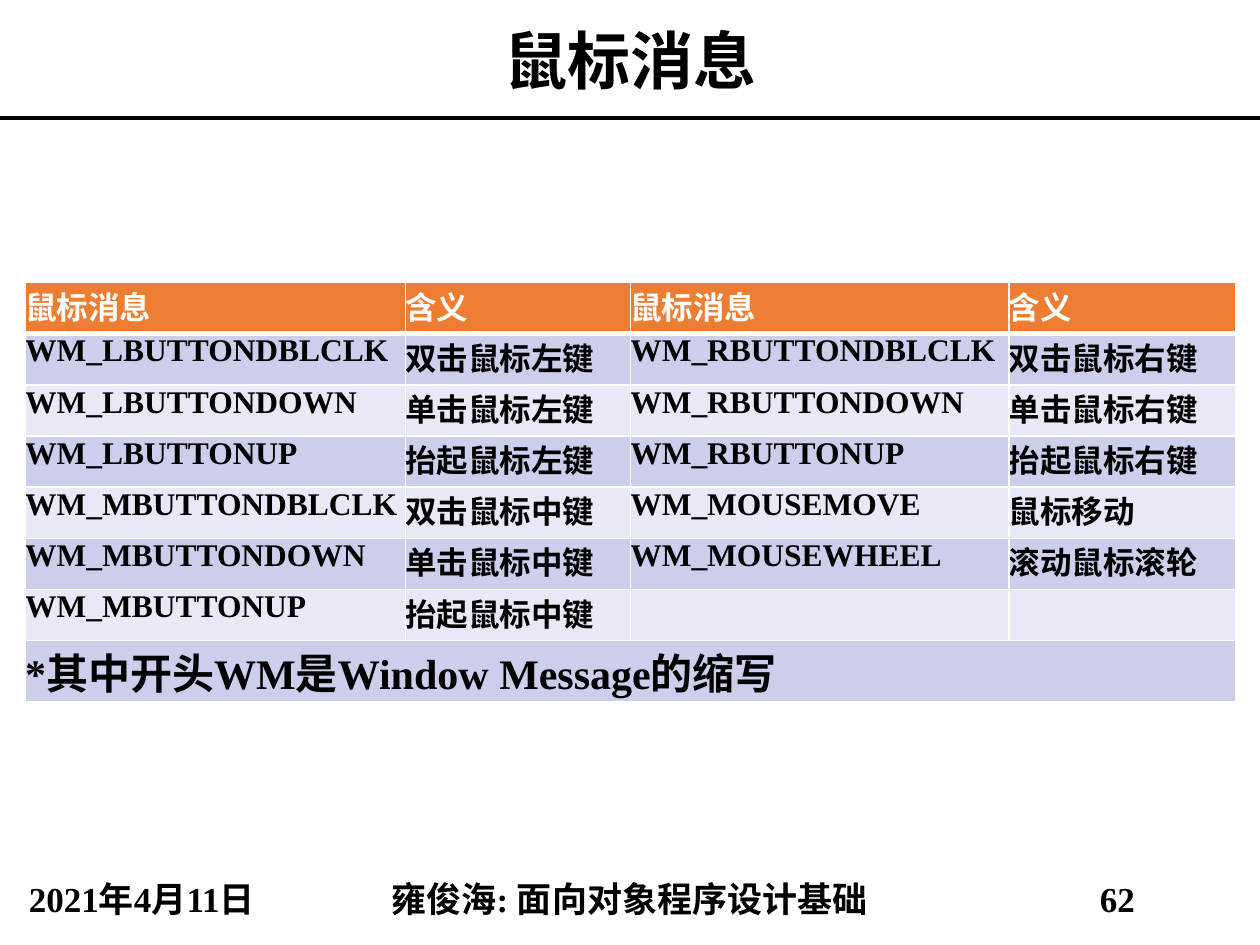
from dataclasses import dataclass

from lxml.etree import SubElement
from pptx import Presentation
from pptx.dml.color import RGBColor
from pptx.enum.shapes import MSO_CONNECTOR
from pptx.enum.text import MSO_ANCHOR, PP_ALIGN
from pptx.oxml import parse_xml
from pptx.oxml.ns import nsdecls, qn
from pptx.util import Pt


@dataclass(frozen=True)
class Theme:
    font: str = "Times New Roman"
    ink: str = "000000"
    paper: str = "FFFFFF"
    header: str = "ED7D31"
    bands: tuple = ("CDCDEC", "E8E8F6")
    title_size: int = 36
    footer_size: int = 20
    cell_size: int = 18
    note_size: int = 24


class SlideBuilder:
    def __init__(self, slide, theme):
        self.slide = slide
        self.theme = theme

    def add_text(self, tf, text, size, color, align=PP_ALIGN.LEFT, spacing=None):
        p = tf.paragraphs[0]
        p.alignment = align
        p.line_spacing = spacing
        r = p.add_run()
        r.text = text
        r.font.name = self.theme.font
        r.font.size = Pt(size)
        r.font.bold = True
        r.font.color.rgb = RGBColor.from_string(color)

    def title(self, text, width, height):
        sp = self.slide.shapes.title
        sp.left, sp.top, sp.width, sp.height = Pt(0), Pt(0), Pt(width), Pt(height)
        tf = sp.text_frame
        tf.vertical_anchor = MSO_ANCHOR.MIDDLE
        self.add_text(tf, text, self.theme.title_size, self.theme.ink,
                      PP_ALIGN.CENTER)

    def rule(self, y, width):
        line = self.slide.shapes.add_connector(
            MSO_CONNECTOR.STRAIGHT, Pt(0), Pt(y), Pt(width), Pt(y))
        line.line.color.rgb = RGBColor.from_string(self.theme.ink)
        line.line.width = Pt(2.25)
        SubElement(line._element.spPr, qn("a:effectLst"))

    def footer(self, text, left, width):
        sp = self.slide.shapes.add_textbox(Pt(left), Pt(500.4), Pt(width), Pt(28.8))
        tf = sp.text_frame
        tf.word_wrap = True
        tf.vertical_anchor = MSO_ANCHOR.MIDDLE
        self.add_text(tf, text, self.theme.footer_size, self.theme.ink,
                      PP_ALIGN.CENTER, 0.9)

    def borders(self, cell, top, bottom):
        """Draw the cell's four edges; top and bottom are widths in points."""
        tc_pr = cell._tc.get_or_add_tcPr()
        edges = (("lnL", 1), ("lnR", 1), ("lnT", top), ("lnB", bottom))
        for i, (tag, width) in enumerate(edges):
            tc_pr.insert(i, parse_xml(
                f'<a:{tag} {nsdecls("a")} w="{Pt(width)}"><a:solidFill>'
                f'<a:srgbClr val="{self.theme.paper}"/></a:solidFill></a:{tag}>'))

    def table(self, rows, note, left, top, col_widths, row_height):
        """Add a header row, banded rows and a note spanning the last row."""
        theme = self.theme
        last = len(rows)
        table = self.slide.shapes.add_table(
            last + 1, len(col_widths), Pt(left), Pt(top),
            Pt(sum(col_widths)), Pt(row_height * (last + 1))).table
        for column, width in zip(table.columns, col_widths):
            column.width = Pt(width)
        note_row = [note] + [""] * (len(col_widths) - 1)
        for i, texts in enumerate([*rows, note_row]):
            table.rows[i].height = Pt(row_height)
            fill = theme.bands[(i - 1) % 2] if i else theme.header
            color = theme.ink if i else theme.paper
            size = theme.note_size if i == last else theme.cell_size
            for j, text in enumerate(texts):
                cell = table.cell(i, j)
                cell.margin_left = cell.margin_right = Pt(0)
                cell.margin_top = cell.margin_bottom = Pt(0)
                cell.fill.solid()
                cell.fill.fore_color.rgb = RGBColor.from_string(fill)
                self.borders(cell, 3 if i == 1 else 1, 3 if i == 0 else 1)
                if text:
                    self.add_text(cell.text_frame, text, size, color)
        table.cell(last, 0).merge(table.cell(last, len(col_widths) - 1))


MESSAGES = [
    ("鼠标消息", "含义", "鼠标消息", "含义"),
    ("WM_LBUTTONDBLCLK", "双击鼠标左键", "WM_RBUTTONDBLCLK", "双击鼠标右键"),
    ("WM_LBUTTONDOWN", "单击鼠标左键", "WM_RBUTTONDOWN", "单击鼠标右键"),
    ("WM_LBUTTONUP", "抬起鼠标左键", "WM_RBUTTONUP", "抬起鼠标右键"),
    ("WM_MBUTTONDBLCLK", "双击鼠标中键", "WM_MOUSEMOVE", "鼠标移动"),
    ("WM_MBUTTONDOWN", "单击鼠标中键", "WM_MOUSEWHEEL", "滚动鼠标滚轮"),
    ("WM_MBUTTONUP", "抬起鼠标中键", "", ""),
]
NOTE = "*其中开头WM是Window Message的缩写"


def main():
    width, title_height = 720, 67.5
    prs = Presentation()
    prs.slide_width, prs.slide_height = Pt(width), Pt(540)
    s = prs.slides.add_slide(prs.slide_layouts[5])
    builder = SlideBuilder(s, Theme())
    builder.title("鼠标消息", width, title_height)
    builder.rule(title_height, width)
    builder.table(MESSAGES, NOTE, 14.4, 161.5, (217.2, 128.6, 216.4, 129.4), 29.25)
    side, middle = 162, 395.5
    builder.footer("2021年4月11日", 0, side)
    builder.footer("雍俊海: 面向对象程序设计基础", side, middle)
    builder.footer("62", side + middle, side)
    prs.save("out.pptx")


if __name__ == "__main__":
    main()
